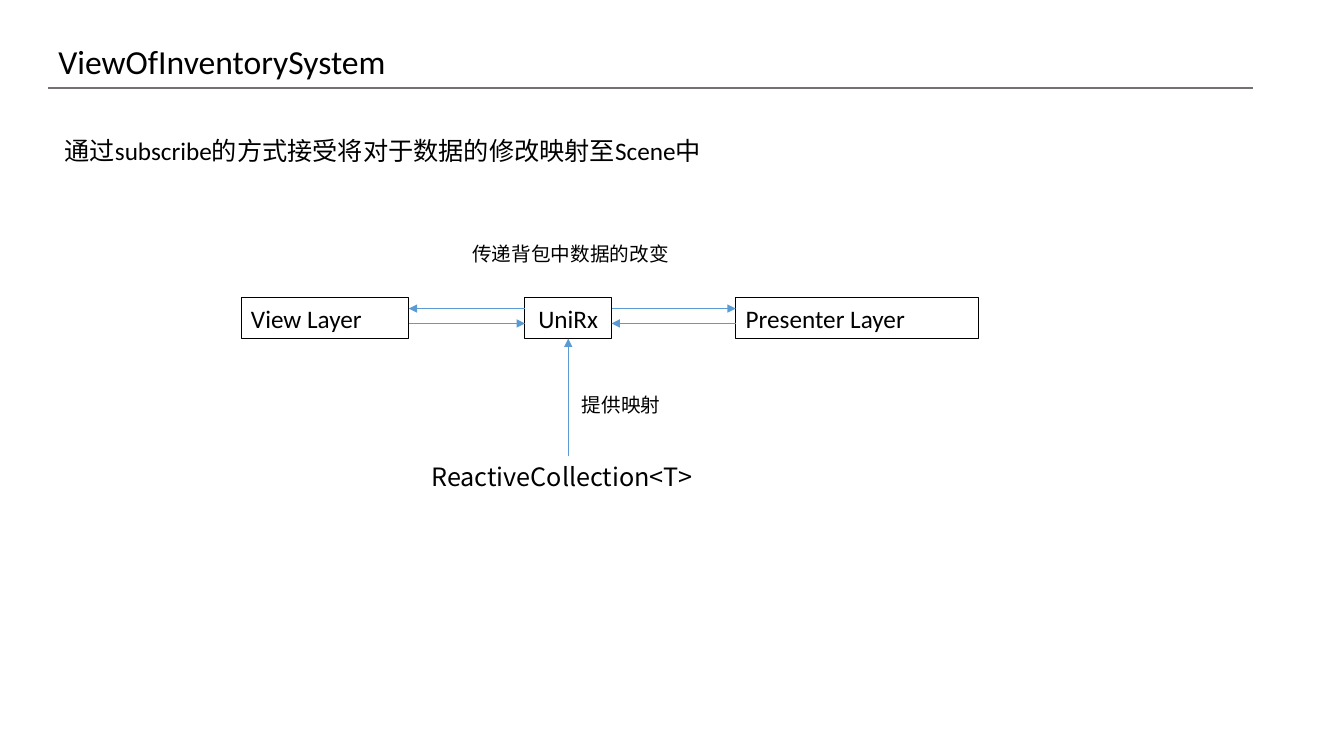
from dataclasses import dataclass

from lxml import etree
from pptx import Presentation
from pptx import util as u
from pptx.dml.color import RGBColor
from pptx.enum import shapes, text
from pptx.oxml import ns

LATIN, CJK = "Calibri", "Noto Sans CJK SC"
BLACK, GREY, BLUE = "000000", "767171", "5B9BD5"


@dataclass
class Label:
    words: str
    left: float
    top: float
    width: float
    height: float
    size: float = 18
    font: str = LATIN
    boxed: bool = False
    centred: bool = False

    @property
    def right(self) -> float:
        return self.left + self.width

    @property
    def middle(self) -> float:
        return self.left + self.width / 2

    @property
    def bottom(self) -> float:
        return self.top + self.height


@dataclass
class Line:
    x1: float
    y1: float
    x2: float
    y2: float
    hue: str = BLUE
    weight: float = 0.5
    arrow: bool = True


def colour(value: str) -> RGBColor:
    return RGBColor.from_string(value)


def draw_label(slide, label: Label) -> None:
    frame = (u.Pt(label.left), u.Pt(label.top), u.Pt(label.width), u.Pt(label.height))
    if label.boxed:
        holder = slide.shapes.add_shape(shapes.MSO_SHAPE.RECTANGLE, *frame)
        holder.shadow.inherit = False
        holder.fill.background()
        holder.line.color.rgb = colour(BLACK)
        holder.line.width = u.Pt(0.75)
    else:
        holder = slide.shapes.add_textbox(*frame)
    body = holder.text_frame
    body.word_wrap = True
    body.auto_size = text.MSO_AUTO_SIZE.SHAPE_TO_FIT_TEXT
    body.vertical_anchor = text.MSO_ANCHOR.TOP
    paragraph = body.paragraphs[0]
    paragraph.alignment = text.PP_ALIGN.CENTER if label.centred else text.PP_ALIGN.LEFT
    run = paragraph.add_run()
    run.text = label.words
    run.font.size = u.Pt(label.size)
    run.font.name = label.font
    run.font.color.rgb = colour(BLACK)
    # Typeface for the Chinese characters
    etree.SubElement(run.font._element, ns.qn("a:ea"), typeface=CJK)


def draw_line(slide, line: Line) -> None:
    connector = slide.shapes.add_connector(
        shapes.MSO_CONNECTOR.STRAIGHT,
        u.Pt(line.x1), u.Pt(line.y1), u.Pt(line.x2), u.Pt(line.y2))
    connector.line.color.rgb = colour(line.hue)
    connector.line.width = u.Pt(line.weight)
    if line.arrow:
        etree.SubElement(connector.line._get_or_add_ln(), ns.qn("a:tailEnd"), type="triangle")
    etree.SubElement(connector._element.spPr, ns.qn("a:effectLst"))


deck = Presentation()
deck.slide_width, deck.slide_height = u.Pt(960), u.Pt(540)
inventory = deck.slides.add_slide(deck.slide_layouts[6])

# Heading and summary
heading_rule = Line(34.6, 62.8, 895, 62.8, GREY, 1.5, arrow=False)
heading = Label("ViewOfInventorySystem", 34.6, 26, 328, 36.3, size=24)
summary = Label("通过subscribe的方式接受将对于数据的修改映射至Scene中", 39, 93, 506, 29.1)

# Layers on one row
ROW_TOP, ROW_HEIGHT = 212.8, 29.1
view = Label("View Layer", 172.2, ROW_TOP, 119.8, ROW_HEIGHT, boxed=True)
unirx = Label("UniRx", 375, ROW_TOP, 61.8, ROW_HEIGHT, boxed=True, centred=True)
presenter = Label("Presenter Layer", 525.6, ROW_TOP, 173.6, ROW_HEIGHT, boxed=True)

# Source of the mapping and the captions
collection = Label("ReactiveCollection<T>", 301, 326, 209.5, 29.1, font=CJK)
mapping = Label("提供映射", 408.5, 277.2, 73, 24.2, size=14)
changes = Label("传递背包中数据的改变", 330.3, 169, 156.5, 24.2, size=14)

# Upper arrows leave UniRx, lower arrows return to it
OUT_Y, BACK_Y = 220.4, 231
arrows = [Line(unirx.middle, collection.top, unirx.middle, unirx.bottom)]
for hub_edge, layer_edge in ((unirx.left, view.right), (unirx.right, presenter.left)):
    arrows += [Line(hub_edge, OUT_Y, layer_edge, OUT_Y),
               Line(layer_edge, BACK_Y, hub_edge, BACK_Y)]

draw_line(inventory, heading_rule)
for part in (heading, summary, view, presenter, unirx, collection, mapping, changes):
    draw_label(inventory, part)
for flow in arrows:
    draw_line(inventory, flow)

deck.save("out.pptx")
